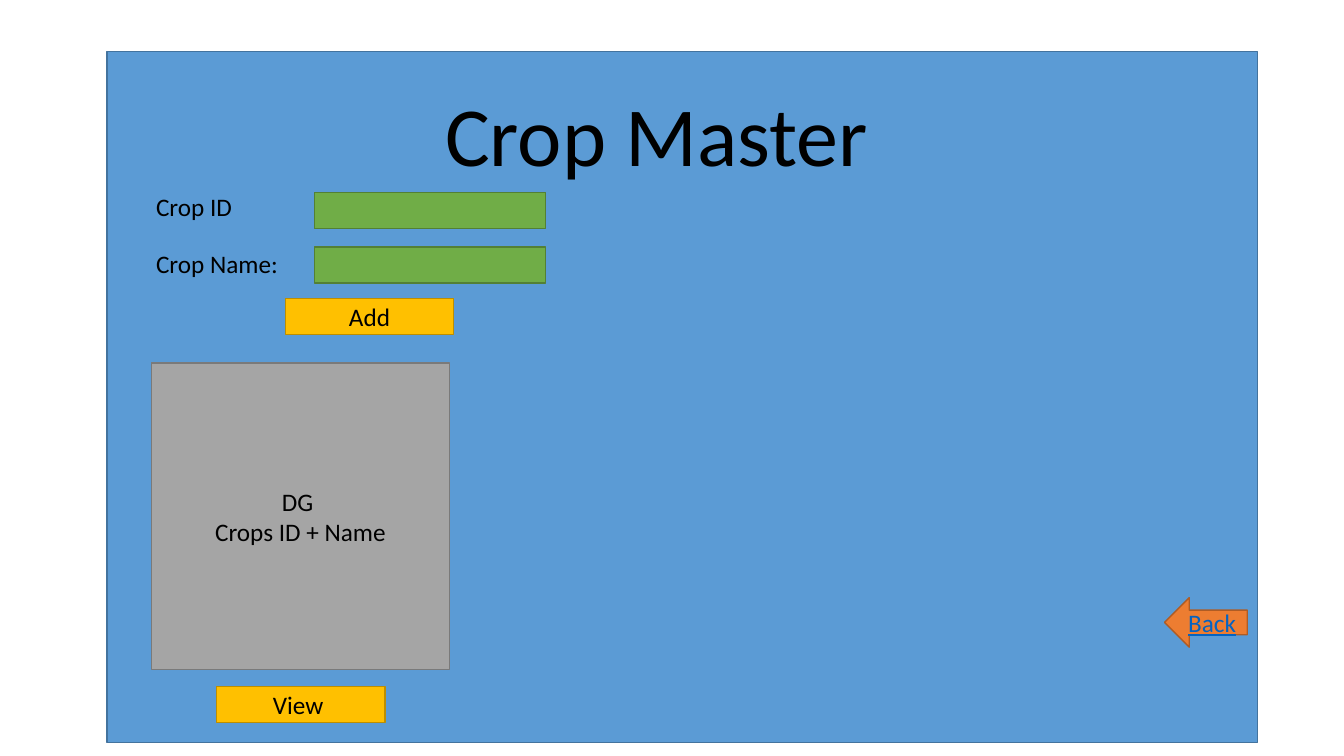
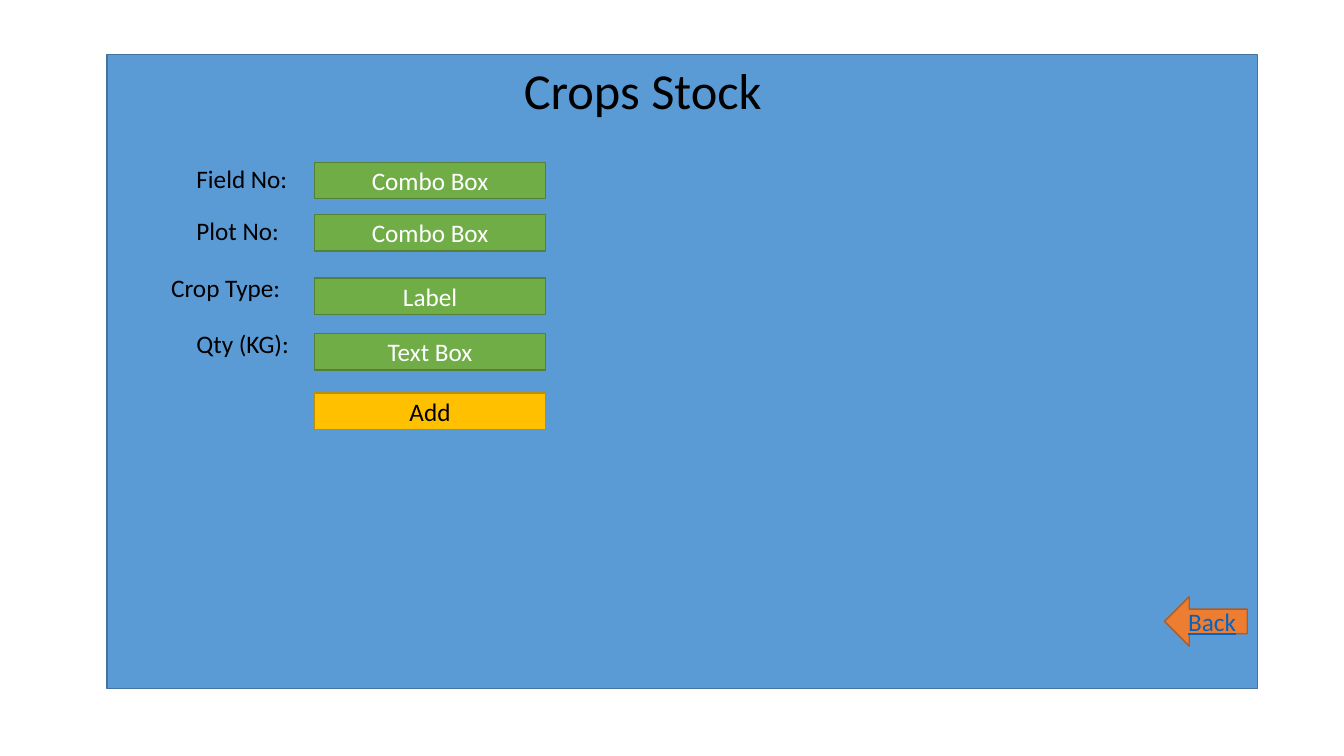
from pptx import Presentation
from pptx.dml.color import RGBColor
from pptx.enum.shapes import MSO_SHAPE
from pptx.enum.text import MSO_ANCHOR, MSO_AUTO_SIZE, PP_ALIGN
from pptx.util import Emu, Pt

PX = 9144  # 100 px to the inch
FONT = "Calibri"
BLACK = RGBColor(0x00, 0x00, 0x00)
WHITE = RGBColor(0xFF, 0xFF, 0xFF)
LINK_BLUE = RGBColor(0x05, 0x63, 0xC1)

# Fill and outline of each kind of element
PANEL = RGBColor(0x5B, 0x9B, 0xD5), RGBColor(0x43, 0x73, 0x9E)
FIELD = RGBColor(0x70, 0xAD, 0x47), RGBColor(0x53, 0x80, 0x35)
BUTTON = RGBColor(0xFF, 0xC0, 0x00), RGBColor(0xBD, 0x8E, 0x00)
GRID = RGBColor(0xA5, 0xA5, 0xA5), RGBColor(0x7A, 0x7A, 0x7A)
ARROW = RGBColor(0xED, 0x7D, 0x31), RGBColor(0xAF, 0x5C, 0x24)

PANEL_X, PANEL_W = 106, 1141
FIELD_X, FIELD_W, ROW_H = 312, 229, 36
BUTTON_W = 167
LABEL_W, LABEL_H = 190, 40


def box(x, y, w, h):
    return [Emu(v * PX) for v in (x, y, w, h)]


def write(tf, lines, color=BLACK, size=18, align=PP_ALIGN.CENTER, **extra):
    """Fill a text frame with one paragraph per line."""
    tf.word_wrap = True
    style = {"name": FONT, "size": Pt(size), **extra}
    for i, line in enumerate(lines):
        p = tf.paragraphs[0] if i == 0 else tf.add_paragraph()
        p.alignment = align
        r = p.add_run()
        r.text = line
        for key, value in style.items():
            setattr(r.font, key, value)
        r.font.color.rgb = color


def add_block(s, rect, colors, *lines, kind=MSO_SHAPE.RECTANGLE, **style):
    sp = s.shapes.add_shape(kind, *box(*rect))
    sp.shadow.inherit = False
    fill, line = colors
    sp.fill.solid()
    sp.fill.fore_color.rgb = fill
    sp.line.color.rgb = line
    sp.line.width = Pt(1)
    sp.text_frame.vertical_anchor = MSO_ANCHOR.MIDDLE
    write(sp.text_frame, lines, **style)
    return sp


def add_label(s, x, y, text):
    sp = s.shapes.add_textbox(*box(x, y, LABEL_W, LABEL_H))
    write(sp.text_frame, [text], align=PP_ALIGN.LEFT)


def add_field(s, y, *lines):
    add_block(s, (FIELD_X, y, FIELD_W, ROW_H), FIELD, *lines, color=WHITE)


def add_button(s, x, y, text, w=BUTTON_W):
    add_block(s, (x, y, w, ROW_H), BUTTON, text)


def add_form(prs, title, title_rect, title_size, panel_y, panel_h, back_y):
    """Start a slide with its panel, title and back arrow."""
    s = prs.slides.add_slide(prs.slide_layouts[5])
    head = s.shapes.title
    panel = add_block(s, (PANEL_X, panel_y, PANEL_W, panel_h), PANEL)
    head.element.addprevious(panel.element)  # panel lies behind the title
    head.left, head.top, head.width, head.height = box(*title_rect)
    tf = head.text_frame
    tf.auto_size = MSO_AUTO_SIZE.NONE
    tf.vertical_anchor = MSO_ANCHOR.TOP
    write(tf, [title], size=title_size)
    add_block(s, (1155, back_y, 82, 49), ARROW, "Back",
              kind=MSO_SHAPE.LEFT_ARROW, color=LINK_BLUE, underline=True)
    return s


def build_crop_master(prs):
    s = add_form(prs, "Crop Master ", (377, 77, 567, 111), 60, 51, 686, 593)
    for text, label_y, field_y in (("Crop ID", 185, 191),
                                   ("Crop Name:", 241, 245)):
        add_label(s, 145, label_y, text)
        add_field(s, field_y)
    add_button(s, 283, 296, "Add")
    # Data grid with its button centred below
    grid_x, grid_w = 150, 296
    add_block(s, (grid_x, 360, grid_w, 304), GRID, "DG ", "Crops ID + Name")
    add_button(s, grid_x + (grid_w - BUTTON_W) // 2 + 1, 681, "View ")


def build_crops_stock(prs):
    s = add_form(prs, "Crops Stock", (312, 54, 651, 71), 36, 54, 629, 592)
    for text, x, label_y, field, field_y in (
            ("Field No:", 185, 157, "Combo Box", 161),
            ("Plot No:", 185, 209, "Combo Box", 213),
            ("Crop Type:", 160, 265, "Label", 276),
            ("Qty (KG):", 185, 321, "Text Box", 331)):
        add_label(s, x, label_y, text)
        add_field(s, field_y, field)
    add_button(s, FIELD_X, 390, "Add", FIELD_W)


def main():
    prs = Presentation()
    prs.slide_width, prs.slide_height = Emu(1333 * PX), Emu(750 * PX)
    build_crop_master(prs)
    build_crops_stock(prs)
    prs.save("out.pptx")


if __name__ == "__main__":
    main()
